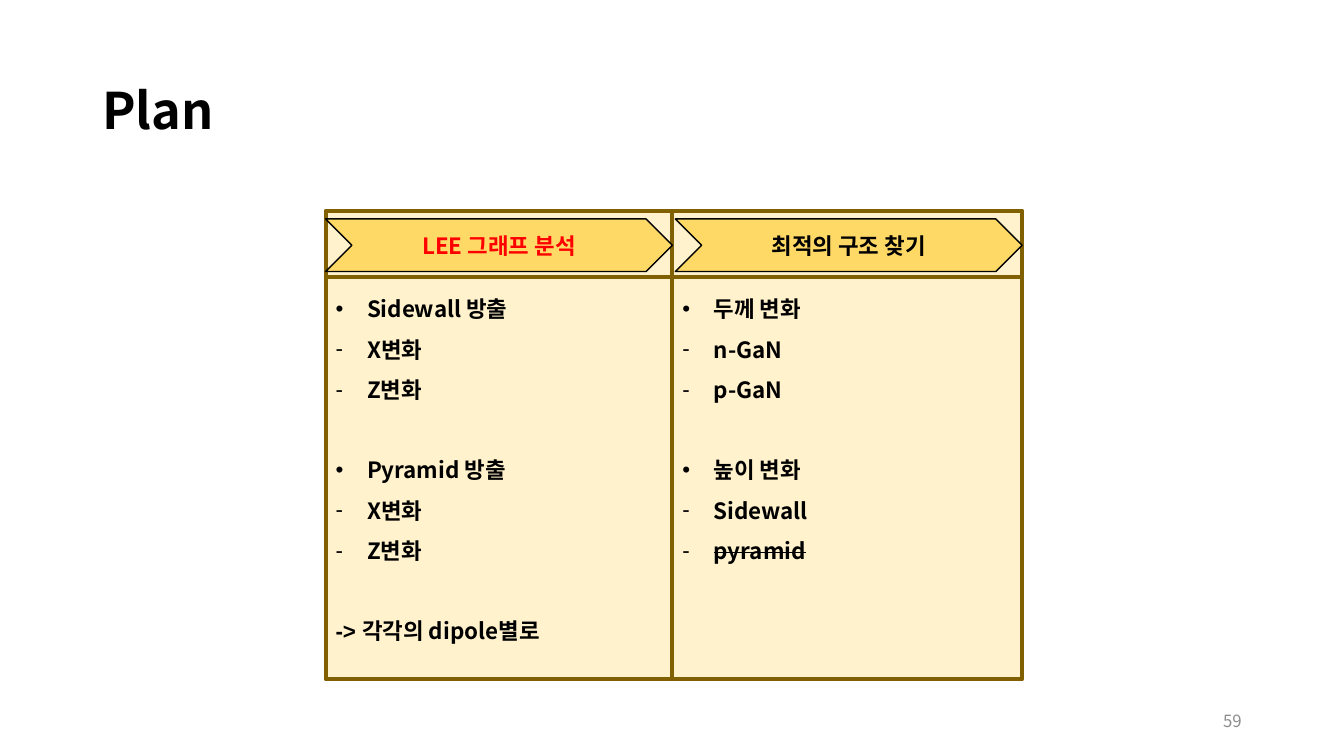
import pptx
import pptx.dml.color
import pptx.enum.shapes
import pptx.enum.text
import pptx.oxml.ns
import pptx.util
from lxml import etree

Pt = pptx.util.Pt
ALIGN = pptx.enum.text.PP_ALIGN
ANCHOR = pptx.enum.text.MSO_ANCHOR
SHAPE = pptx.enum.shapes.MSO_SHAPE
qn = pptx.oxml.ns.qn

FONT = "Noto Sans CJK KR"
BLACK, RED, GREY = "000000", "FF0000", "8C8C8C"
CREAM, GOLD, BROWN = "FFF2CC", "FFD966", "806000"
PITCH = 28.75
INDENT = 22.5
HEAD_TOP, BODY_TOP = 150.5, 198
HEAD_HIGH, BODY_HIGH = 47.5, 287.3
ARROW_TOP, ARROW_WIDE, ARROW_HIGH = 156.4, 247.7, 37.6

# Each column: left, width, arrow left, heading, heading colour, groups, closing line
COLUMNS = [
    (232.6, 247.7, 232.6, "LEE 그래프 분석", RED,
     [("Sidewall 방출", "X변화", "Z변화"), ("Pyramid 방출", "X변화", "Z변화")],
     ("-> ", "각각의 dipole별로")),
    (480.3, 249.8, 482.4, "최적의 구조 찾기", BLACK,
     [("두께 변화", "n-GaN", "p-GaN"), ("높이 변화", "Sidewall", "pyramid")],
     None),
]
STRUCK = {"pyramid"}


def color(code):
    return pptx.dml.color.RGBColor.from_string(code)


def style(run, size, code=BLACK, bold=True, face=FONT):
    """Format a run, with the same face for Latin and Korean letters."""
    run.font.size = Pt(size)
    run.font.bold = bold
    run.font.color.rgb = color(code)
    run.font.name = face
    props = run.font._element
    east = etree.Element(qn("a:ea"), typeface=face)
    props.find(qn("a:latin")).addnext(east)


def add_box(slide, kind, area, fill, line, width):
    box = slide.shapes.add_shape(kind, *map(Pt, area))
    box.shadow.inherit = False
    box.fill.solid()
    box.fill.fore_color.rgb = color(fill)
    box.line.color.rgb = color(line)
    box.line.width = Pt(width)
    return box


def set_line(shape, text, size, code, align, bold=True):
    """Write one line in the vertical middle of a shape."""
    frame = shape.text_frame
    frame.word_wrap = True
    frame.vertical_anchor = ANCHOR.MIDDLE
    frame.text = text
    para = frame.paragraphs[0]
    para.alignment = align
    style(para.runs[0], size, code, bold)
    return para


def add_label(slide, area, text, size, code, align, bold):
    box = slide.shapes.add_textbox(*map(Pt, area))
    return set_line(box, text, size, code, align, bold)


def add_bullet(para, mark):
    props = para._p.get_or_add_pPr()
    props.set("marL", str(Pt(INDENT)))
    props.set("indent", str(-Pt(INDENT)))
    etree.SubElement(props, qn("a:buFont"), typeface="Arial")
    etree.SubElement(props, qn("a:buChar"), char=mark)


def next_para(frame, gap):
    """Return the next free paragraph, a blank line lower if gap is set."""
    first = frame.paragraphs[0]
    if not first.runs:
        para = first
    else:
        para = frame.add_paragraph()
        if gap:
            para.space_before = Pt(PITCH)
    para.alignment = ALIGN.LEFT
    para.line_spacing = Pt(PITCH)
    return para


def fill_body(box, groups, closing):
    frame = box.text_frame
    frame.word_wrap = True
    frame.vertical_anchor = ANCHOR.TOP
    for group in groups:
        for row, text in enumerate(group):
            para = next_para(frame, row == 0)
            add_bullet(para, "-" if row else "•")
            para.text = text
            style(para.runs[0], 16)
            if text in STRUCK:
                para.runs[0].font._element.set("strike", "sngStrike")
    if closing:
        para = next_para(frame, True)
        for text, face in zip(closing, ("Arial", FONT)):
            run = para.add_run()
            run.text = text
            style(run, 16, face=face)


def add_column(slide, left, width, start, head, code, groups, closing):
    add_box(slide, SHAPE.RECTANGLE, (left, HEAD_TOP, width, HEAD_HIGH),
            CREAM, BROWN, 3)
    body = add_box(slide, SHAPE.RECTANGLE, (left, BODY_TOP, width, BODY_HIGH),
                   CREAM, BROWN, 3)
    fill_body(body, groups, closing)


def add_arrow(slide, left, text, code):
    area = (left, ARROW_TOP, ARROW_WIDE, ARROW_HIGH)
    arrow = add_box(slide, SHAPE.CHEVRON, area, GOLD, BLACK, 1)
    set_line(arrow, text, 16, code, ALIGN.CENTER)


def main():
    deck = pptx.Presentation()
    deck.slide_width, deck.slide_height = Pt(960), Pt(540)
    slide = deck.slides.add_slide(deck.slide_layouts[6])
    for column in COLUMNS:
        add_column(slide, *column)
    title = add_label(slide, (66, 28.75, 828, 104.4), "Plan", 36, BLACK,
                      ALIGN.LEFT, True)
    title.line_spacing = 0.9
    add_label(slide, (678, 500.5, 216, 28.75), "59", 12, GREY,
              ALIGN.RIGHT, False)
    for column in COLUMNS:
        add_arrow(slide, *column[2:5])
    deck.save("out.pptx")


if __name__ == "__main__":
    main()
